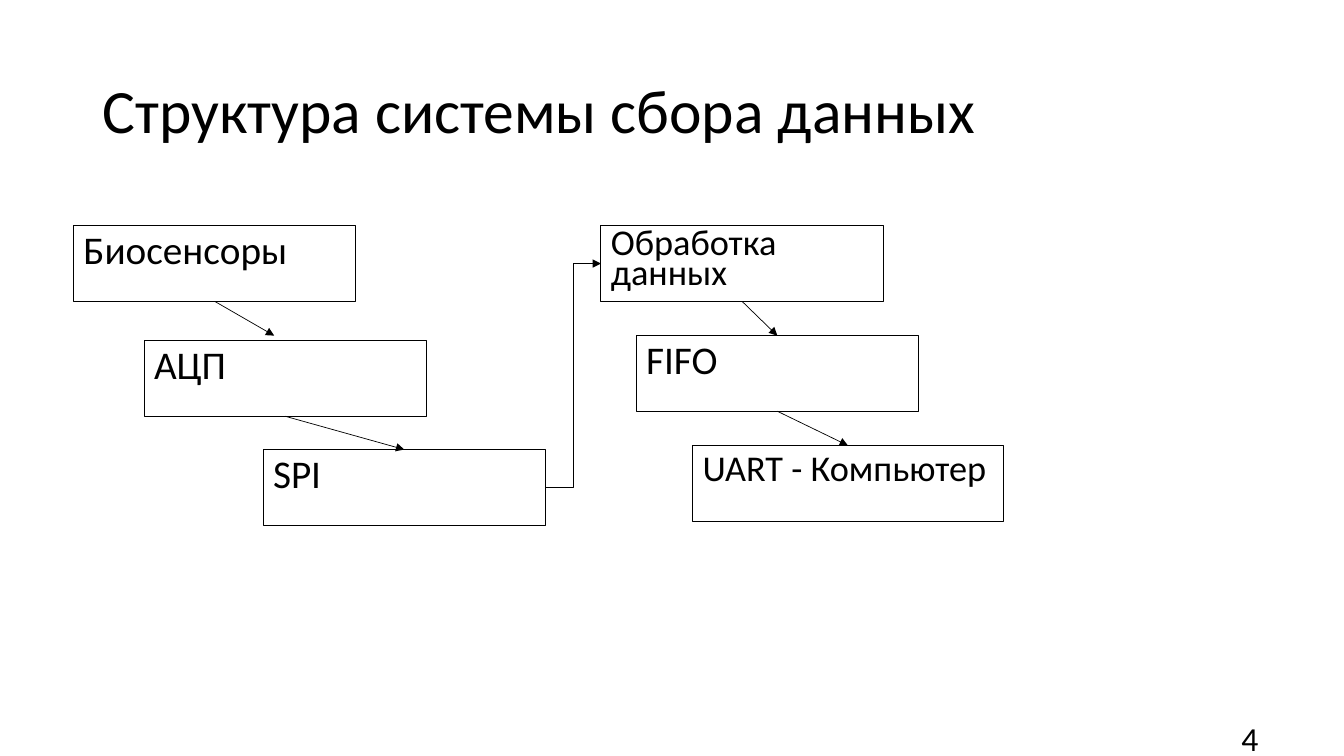
import pptx
import pptx.dml.color
import pptx.enum.shapes
import pptx.enum.text
import pptx.oxml
import pptx.oxml.ns
import pptx.util
from pptx.util import Inches

ALIGN = pptx.enum.text.PP_ALIGN
ANCHOR = pptx.enum.text.MSO_ANCHOR
CONNECTOR = pptx.enum.shapes.MSO_CONNECTOR


def color(value):
    return pptx.dml.color.RGBColor.from_string(value)


def write(frame, text, size=28, spacing=0.9, align=ALIGN.LEFT, anchor=ANCHOR.TOP,
          font="Calibri", ink="000000"):
    frame.word_wrap = True
    frame.vertical_anchor = anchor
    paragraph = frame.paragraphs[0]
    paragraph.alignment = align
    paragraph.line_spacing = spacing
    run = paragraph.add_run()
    run.text = text
    run.font.size = pptx.util.Pt(size)
    run.font.name = font
    run.font.color.rgb = color(ink)


class Diagram:
    """Holds the slide and the common style of its elements."""
    ink = "000000"
    block_width, block_height = 2.8, 0.75

    def __init__(self, slide):
        self.slide = slide

    def label(self, text, left, top, width, height, **text_format):
        box = self.slide.shapes.add_textbox(
            Inches(left), Inches(top), Inches(width), Inches(height))
        write(box.text_frame, text, anchor=ANCHOR.MIDDLE, **text_format)

    def block(self, text, left, top, width=block_width, **text_format):
        shape = self.slide.shapes.add_shape(
            pptx.enum.shapes.MSO_SHAPE.RECTANGLE,
            Inches(left), Inches(top), Inches(width), Inches(self.block_height))
        shape.shadow.inherit = False
        shape.fill.background()
        shape.line.color.rgb = color(self.ink)
        shape.line.width = pptx.util.Pt(0.75)
        write(shape.text_frame, text, **text_format)
        return shape

    def arrow(self, start, end, kind=CONNECTOR.STRAIGHT):
        line = self.slide.shapes.add_connector(kind, *start, *end)
        line.line.color.rgb = color(self.ink)
        line.line.width = pptx.util.Pt(0.5)
        head = pptx.oxml.parse_xml(
            f'<a:tailEnd {pptx.oxml.ns.nsdecls("a")} type="triangle"/>')
        line.line._get_or_add_ln().append(head)
        line._element.spPr.append(pptx.oxml.parse_xml(
            f'<a:effectLst {pptx.oxml.ns.nsdecls("a")}/>'))

    def step_down(self, upper, lower, end=None):
        """Arrow from the bottom centre of one block to the top of the next."""
        start = (upper.left + upper.width // 2, upper.top + upper.height)
        self.arrow(start, end or (lower.left + lower.width // 2, lower.top))

    def step_across(self, source, target):
        """Bent arrow from the right side of a block to the left of another."""
        self.arrow((source.left + source.width, source.top + source.height // 2),
                   (target.left, target.top + target.height // 2), CONNECTOR.ELBOW)


def main():
    deck = pptx.Presentation()
    deck.slide_width, deck.slide_height = Inches(13.33), Inches(7.5)
    diagram = Diagram(deck.slides.add_slide(deck.slide_layouts[6]))

    # Title and page number
    diagram.label("Структура системы сбора данных", 0.92, 0.4, 11.5, 1.45, size=44)
    diagram.label("4", 9.58, 7.12, 3, 0.4, size=24, spacing=1.0, align=ALIGN.RIGHT)

    # Acquisition chain
    sensors = diagram.block("Биосенсоры", 0.73, 2.24)
    adc = diagram.block("АЦП", 1.43, 3.38)
    spi = diagram.block("SPI", 2.61, 4.46)

    # Processing chain
    processing = diagram.block("Обработка данных", 5.96, 2.24, size=25.9, spacing=0.7)
    fifo = diagram.block("FIFO", 6.31, 3.33)
    uart = diagram.block("UART - Компьютер", 6.87, 4.42, width=3.08, size=25.9)

    # Data flow
    diagram.step_down(sensors, adc, end=(Inches(2.72), Inches(3.33)))
    diagram.step_down(adc, spi)
    diagram.step_across(spi, processing)
    diagram.step_down(processing, fifo)
    diagram.step_down(fifo, uart)

    deck.save("out.pptx")


if __name__ == "__main__":
    main()
